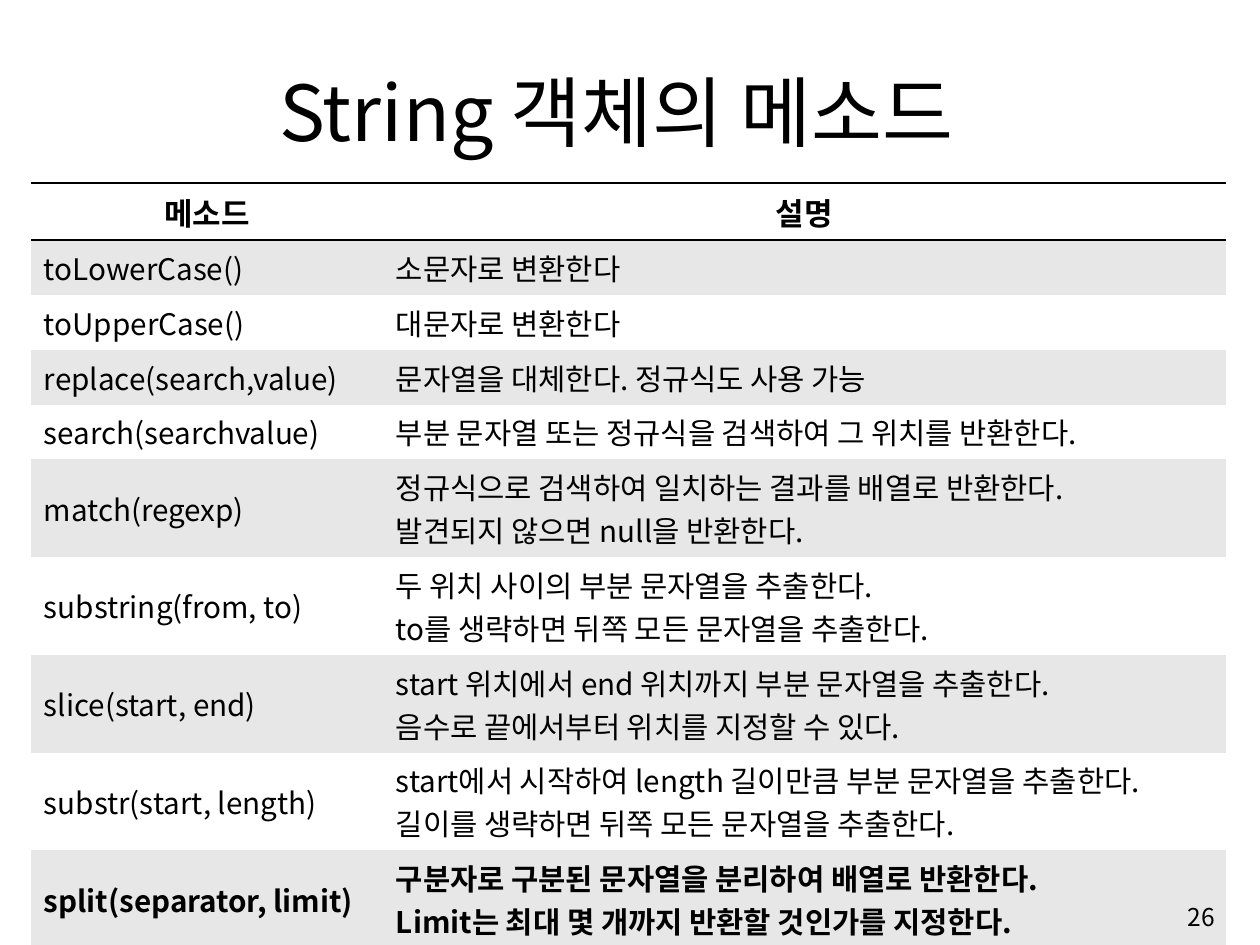
import lxml.etree
import pptx
import pptx.dml.color
import pptx.enum.text
import pptx.oxml.ns
import pptx.util

EMU_PER_PX = 914400 / 97
FONT = "Noto Sans CJK KR"
COLORS = {"text": "000000", "rule": "000000", "plain": "FFFFFF", "band": "E7E7E7"}
NO_TABLE_STYLE = "{2D5ABB26-0587-4C30-8999-92F81FD0307C}"
ALIGN = pptx.enum.text.PP_ALIGN
ANCHOR = pptx.enum.text.MSO_ANCHOR
COLUMN_WIDTHS = (352, 843)
LINE_ROW, DOUBLE_ROW = 50, 88

HEADER = ("메소드", "설명")
METHODS = [
    ("toLowerCase()", "소문자로 변환한다"),
    ("toUpperCase()", "대문자로 변환한다"),
    ("replace(search,value)", "문자열을 대체한다. 정규식도 사용 가능"),
    ("search(searchvalue)", "부분 문자열 또는 정규식을 검색하여 그 위치를 반환한다."),
    ("match(regexp)",
     "정규식으로 검색하여 일치하는 결과를 배열로 반환한다.\n발견되지 않으면 null을 반환한다."),
    ("substring(from, to)",
     "두 위치 사이의 부분 문자열을 추출한다.\nto를 생략하면 뒤쪽 모든 문자열을 추출한다."),
    ("slice(start, end)",
     "start 위치에서 end 위치까지 부분 문자열을 추출한다.\n음수로 끝에서부터 위치를 지정할 수 있다."),
    ("substr(start, length)",
     "start에서 시작하여 length 길이만큼 부분 문자열을 추출한다. "
     "길이를 생략하면 뒤쪽 모든 문자열을 추출한다."),
    ("split(separator, limit)",
     "구분자로 구분된 문자열을 분리하여 배열로 반환한다.\n"
     "Limit는 최대 몇 개까지 반환할 것인가를 지정한다."),
]
SINGLE_LINE_METHODS = 4


def px(length):
    return pptx.util.Emu(round(length * EMU_PER_PX))


def rgb(name):
    return pptx.dml.color.RGBColor.from_string(COLORS[name])


def write(frame, text, size, align, bold=False):
    """Fill a text frame, one paragraph per line, in the slide's font."""
    frame.text = text
    for paragraph in frame.paragraphs:
        paragraph.alignment = align
        font = paragraph.font
        font.name = FONT
        font.size = pptx.util.Pt(size)
        font.bold = bold
        font.color.rgb = rgb("text")
        properties = paragraph._p.pPr.find(pptx.oxml.ns.qn("a:defRPr"))
        lxml.etree.SubElement(properties, pptx.oxml.ns.qn("a:ea"), typeface=FONT)


def set_insets(box):
    box.margin_left = box.margin_right = px(13)
    box.margin_top = box.margin_bottom = px(6)


def add_rule(cell, side):
    """Draw a 2 pt line on the side "T" or "B" of a cell; call before filling it."""
    qn = pptx.oxml.ns.qn
    line = lxml.etree.SubElement(cell._tc.get_or_add_tcPr(), qn(f"a:ln{side}"),
                                 w=str(pptx.util.Pt(2)))
    fill = lxml.etree.SubElement(line, qn("a:solidFill"))
    lxml.etree.SubElement(fill, qn("a:srgbClr"), val=COLORS["rule"])


def place_title(slide, text):
    title = slide.shapes.title
    title.left, title.top, title.width, title.height = map(px, (102, 59, 1029, 105))
    frame = title.text_frame
    frame.auto_size = pptx.enum.text.MSO_AUTO_SIZE.NONE
    frame.vertical_anchor = ANCHOR.BOTTOM
    set_insets(frame)
    write(frame, text, 57.2, ALIGN.CENTER)
    frame.paragraphs[0].line_spacing = 0.9


def add_method_table(slide):
    rows = [HEADER] + METHODS
    heights = [LINE_ROW if index <= SINGLE_LINE_METHODS else DOUBLE_ROW
               for index in range(len(rows))]
    table = slide.shapes.add_table(len(rows), len(HEADER), px(31), px(183),
                                   px(sum(COLUMN_WIDTHS)), px(sum(heights))).table
    table.first_row = table.horz_banding = False
    table._tbl.tblPr.find(pptx.oxml.ns.qn("a:tableStyleId")).text = NO_TABLE_STYLE
    for column, width in zip(table.columns, COLUMN_WIDTHS):
        column.width = px(width)

    last = len(rows) - 1
    for index, texts in enumerate(rows):
        table.rows[index].height = px(heights[index])
        is_header = index == 0
        sides = {0: "TB", last: "B"}.get(index, "")
        for cell, text in zip(table.rows[index].cells, texts):
            for side in sides:
                add_rule(cell, side)
            cell.fill.solid()
            cell.fill.fore_color.rgb = rgb("band" if index % 2 else "plain")
            cell.vertical_anchor = ANCHOR.MIDDLE
            set_insets(cell)
            write(cell.text_frame, text, 23 if is_header else 22,
                  ALIGN.CENTER if is_header else ALIGN.LEFT,
                  bold=index in (0, last))


def add_page_number(slide, number):
    frame = slide.shapes.add_textbox(px(968), px(888), px(260), px(58)).text_frame
    frame.word_wrap = True
    frame.vertical_anchor = ANCHOR.MIDDLE
    set_insets(frame)
    write(frame, number, 18.2, ALIGN.RIGHT)


def main():
    deck = pptx.Presentation()
    deck.slide_width, deck.slide_height = px(1260), px(945)
    slide = deck.slides.add_slide(deck.slide_layouts.get_by_name("Title Only"))
    place_title(slide, "String 객체의 메소드")
    add_method_table(slide)
    add_page_number(slide, "26")
    deck.save("out.pptx")


if __name__ == "__main__":
    main()
